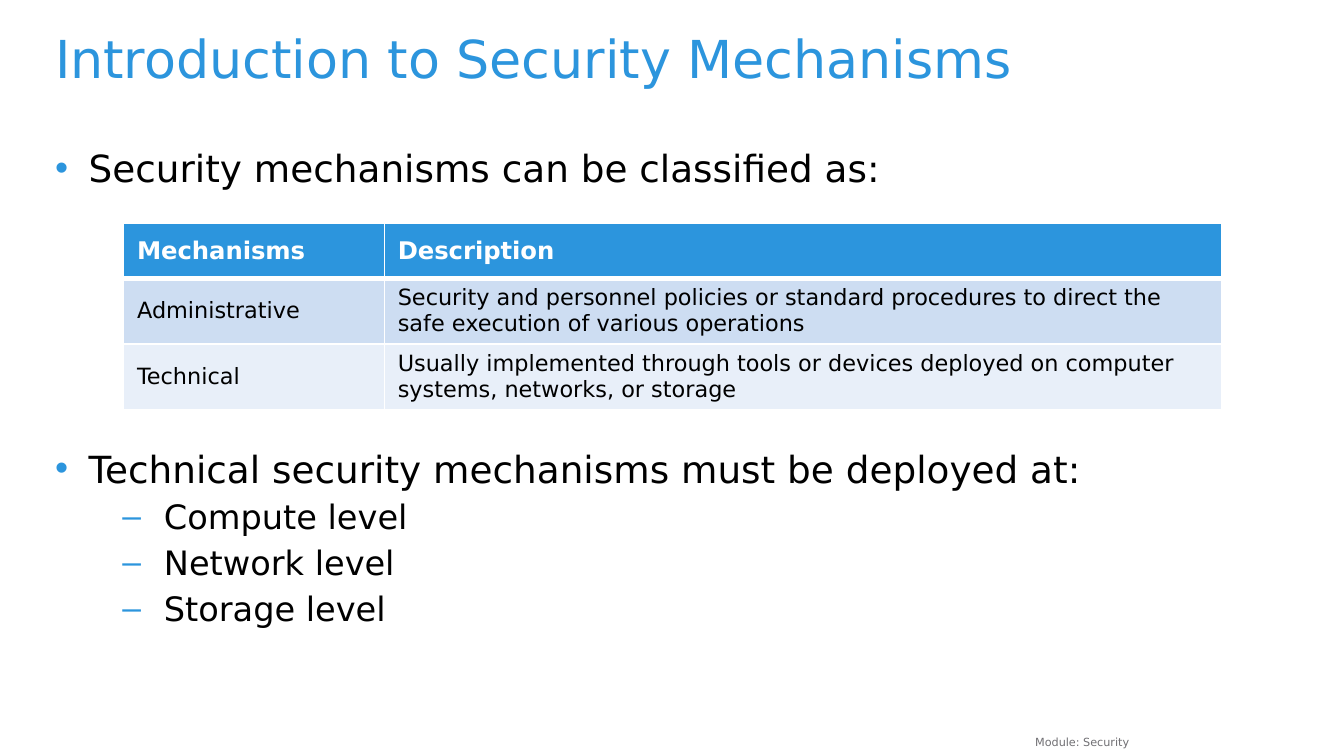
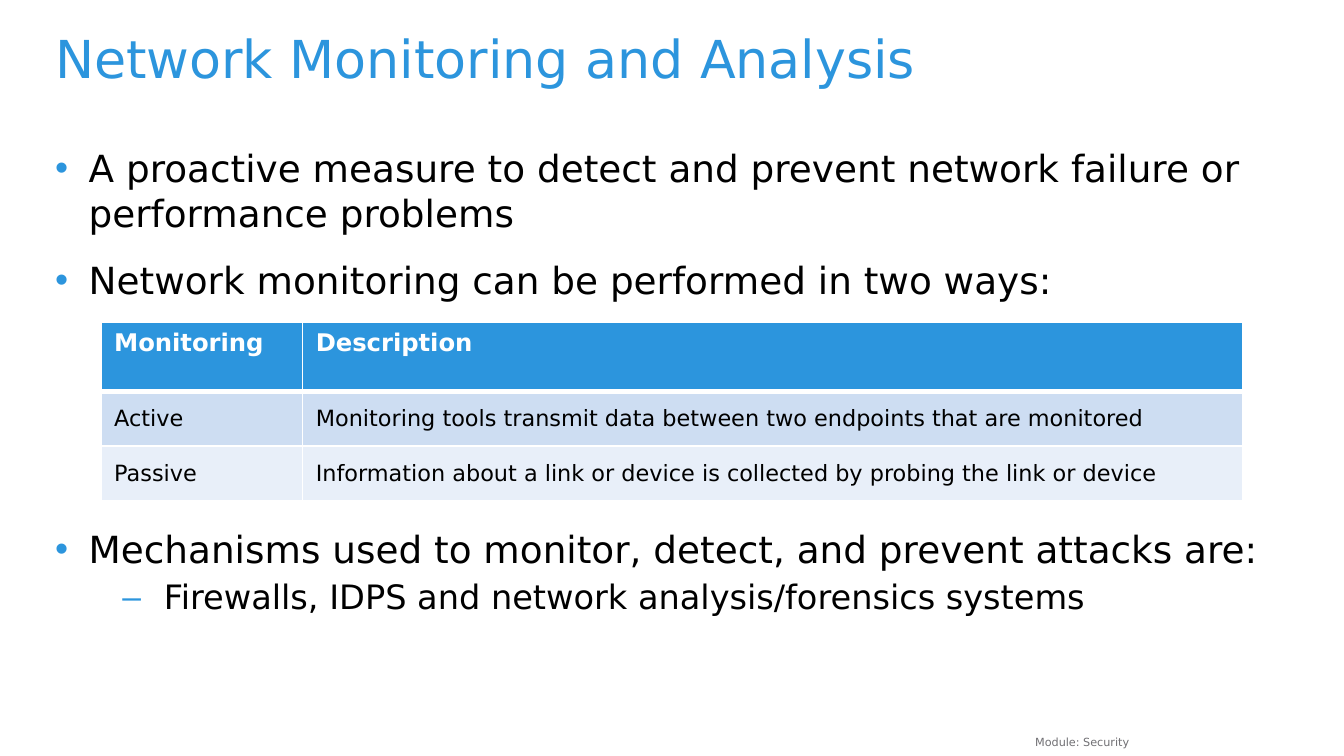
from lxml import etree
from pptx import Presentation, util as u
from pptx.dml.color import RGBColor
from pptx.enum import text
from pptx.oxml import ns

FONT, BULLET_FONT = "DejaVu Sans", "Arial"
BLUE, BLACK, WHITE, GREY = "2C95DD", "000000", "FFFFFF", "717074"
ROW_FILLS = ["CDDDF2", "E8EFF9"]

SLIDE_WIDTH = 10
SLIDE_HEIGHT = SLIDE_WIDTH * 9 / 16
TITLE_BOX = (0.41, 0.25, 9.25, 0.5)
BODY_BOX = (0.41, 1.08, 9.25, 3.75)
FOOTER_BOX = (2.83, 5.42, 5.67, 0.15)

# One entry per list level: bullet, text size, left margin, hanging indent, space before
LEVELS = [("•", 20, 0.25, 0.25, 12), ("–", 18, 0.81, 0.31, 3)]


def color(value):
    return RGBColor.from_string(value)


def set_attributes(target, values):
    for name, value in values.items():
        setattr(target, name, value)


def place(shape, box):
    names = ("left", "top", "width", "height")
    set_attributes(shape, dict(zip(names, map(u.Inches, box))))


def write(paragraph, words, size, hex_color, bold=False):
    run = paragraph.add_run()
    run.text = words
    set_attributes(run.font, {"name": FONT, "size": u.Pt(size), "bold": bold})
    run.font.color.rgb = color(hex_color)


def prepare_frame(shape):
    """Give a placeholder a plain frame without insets, and return it."""
    frame = shape.text_frame
    set_attributes(frame, {
        "margin_left": 0, "margin_top": 0, "margin_right": 0, "margin_bottom": 0,
        "word_wrap": True, "auto_size": text.MSO_AUTO_SIZE.NONE,
        "vertical_anchor": text.MSO_ANCHOR.TOP,
    })
    return frame


def add_color(parent, hex_color):
    etree.SubElement(parent, ns.qn("a:srgbClr"), val=hex_color)


def set_bullet(paragraph, character, margin, hanging):
    properties = paragraph._p.get_or_add_pPr()
    properties.set("marL", str(u.Inches(margin)))
    properties.set("indent", str(-u.Inches(hanging)))
    add_color(etree.SubElement(properties, ns.qn("a:buClr")), BLUE)
    etree.SubElement(properties, ns.qn("a:buFont"), typeface=BULLET_FONT)
    etree.SubElement(properties, ns.qn("a:buChar"), char=character)


def fill_title(shape, words, box):
    place(shape, box)
    paragraph = prepare_frame(shape).paragraphs[0]
    set_attributes(paragraph, {"alignment": text.PP_ALIGN.LEFT, "line_spacing": 0.9})
    write(paragraph, words, 28, BLUE)


def fill_body(shape, items, box):
    """Write items of (level, words, extra space before in points)."""
    place(shape, box)
    frame = prepare_frame(shape)
    for index, (level, words, extra) in enumerate(items):
        paragraph = frame.add_paragraph() if index else frame.paragraphs[0]
        bullet, size, margin, hanging, before = LEVELS[level]
        set_bullet(paragraph, bullet, margin, hanging)
        set_attributes(paragraph, {
            "level": level, "alignment": text.PP_ALIGN.LEFT,
            "space_before": u.Pt(before + extra if index else 0),
        })
        write(paragraph, words, size, BLACK)


def add_footer(slide, words, box):
    frame = slide.shapes.add_textbox(*map(u.Inches, box)).text_frame
    frame.word_wrap = True
    frame.paragraphs[0].alignment = text.PP_ALIGN.RIGHT
    write(frame.paragraphs[0], words, 6, GREY)


def set_borders(cell, widths):
    """Draw white borders; widths are points for left, right, top and bottom."""
    properties = cell._tc.get_or_add_tcPr()
    for index, (side, width) in enumerate(zip("LRTB", widths)):
        line = etree.Element(ns.qn(f"a:ln{side}"), w=str(u.Pt(width)))
        add_color(etree.SubElement(line, ns.qn("a:solidFill")), WHITE)
        properties.insert(index, line)


def add_definitions(slide, rows, position, column_widths, row_heights, header_anchor):
    """Add a table with a blue header row above banded rows."""
    box = (*position, sum(column_widths), sum(row_heights))
    frame = slide.shapes.add_table(len(rows), len(column_widths), *map(u.Inches, box))
    table = frame.table
    for column, width in zip(table.columns, column_widths):
        column.width = u.Inches(width)
    for row_index, (row, height) in enumerate(zip(table.rows, row_heights)):
        row.height = u.Inches(height)
        header = row_index == 0
        fill = BLUE if header else ROW_FILLS[(row_index - 1) % 2]
        style = (13, WHITE, True) if header else (12, BLACK, False)
        margin = u.Inches(0.05 if header else 0.03)
        top, bottom = (3 if row_index == 1 else 1), (3 if header else 1)
        for cell, words in zip(row.cells, rows[row_index]):
            cell.fill.solid()
            cell.fill.fore_color.rgb = color(fill)
            set_borders(cell, (1, 1, top, bottom))
            set_attributes(cell, {
                "margin_top": margin, "margin_bottom": margin,
                "vertical_anchor": header_anchor if header else text.MSO_ANCHOR.MIDDLE,
            })
            write(cell.text_frame.paragraphs[0], words, *style)


def add_mechanism_slide(presentation, title, items, table):
    slide = presentation.slides.add_slide(presentation.slide_layouts[1])
    fill_title(slide.shapes.title, title, TITLE_BOX)
    fill_body(slide.placeholders[1], items, BODY_BOX)
    add_footer(slide, "Module: Security", FOOTER_BOX)
    add_definitions(slide, **table)


def main():
    presentation = Presentation()
    set_attributes(presentation, {
        "slide_width": u.Inches(SLIDE_WIDTH), "slide_height": u.Inches(SLIDE_HEIGHT),
    })

    add_mechanism_slide(
        presentation,
        "Introduction to Security Mechanisms",
        [
            (0, "Security mechanisms can be classified as:", 0),
            (0, "Technical security mechanisms must be deployed at:", 125),
            (1, "Compute level", 0),
            (1, "Network level", 0),
            (1, "Storage level", 0),
        ],
        {
            "rows": [
                ("Mechanisms", "Description"),
                ("Administrative", "Security and personnel policies or standard procedures "
                                   "to direct the safe execution of various operations"),
                ("Technical", "Usually implemented through tools or devices deployed on "
                              "computer systems, networks, or storage"),
            ],
            "position": (0.92, 1.66),
            "column_widths": (1.94, 6.23),
            "row_heights": (0.41, 0.49, 0.49),
            "header_anchor": text.MSO_ANCHOR.MIDDLE,
        },
    )
    add_mechanism_slide(
        presentation,
        "Network Monitoring and Analysis",
        [
            (0, "A proactive measure to detect and prevent network failure or "
                "performance problems", 0),
            (0, "Network monitoring can be performed in two ways:", 0),
            (0, "Mechanisms used to monitor, detect, and prevent attacks are:", 108),
            (1, "Firewalls, IDPS and network analysis/forensics systems", 0),
        ],
        {
            "rows": [
                ("Monitoring", "Description"),
                ("Active", "Monitoring tools transmit data between two endpoints "
                           "that are monitored"),
                ("Passive", "Information about a link or device is collected by probing "
                            "the link or device"),
            ],
            "position": (0.75, 2.4),
            "column_widths": (1.5, 7),
            "row_heights": (0.51, 0.41, 0.41),
            "header_anchor": text.MSO_ANCHOR.TOP,
        },
    )
    presentation.save("out.pptx")


if __name__ == "__main__":
    main()
